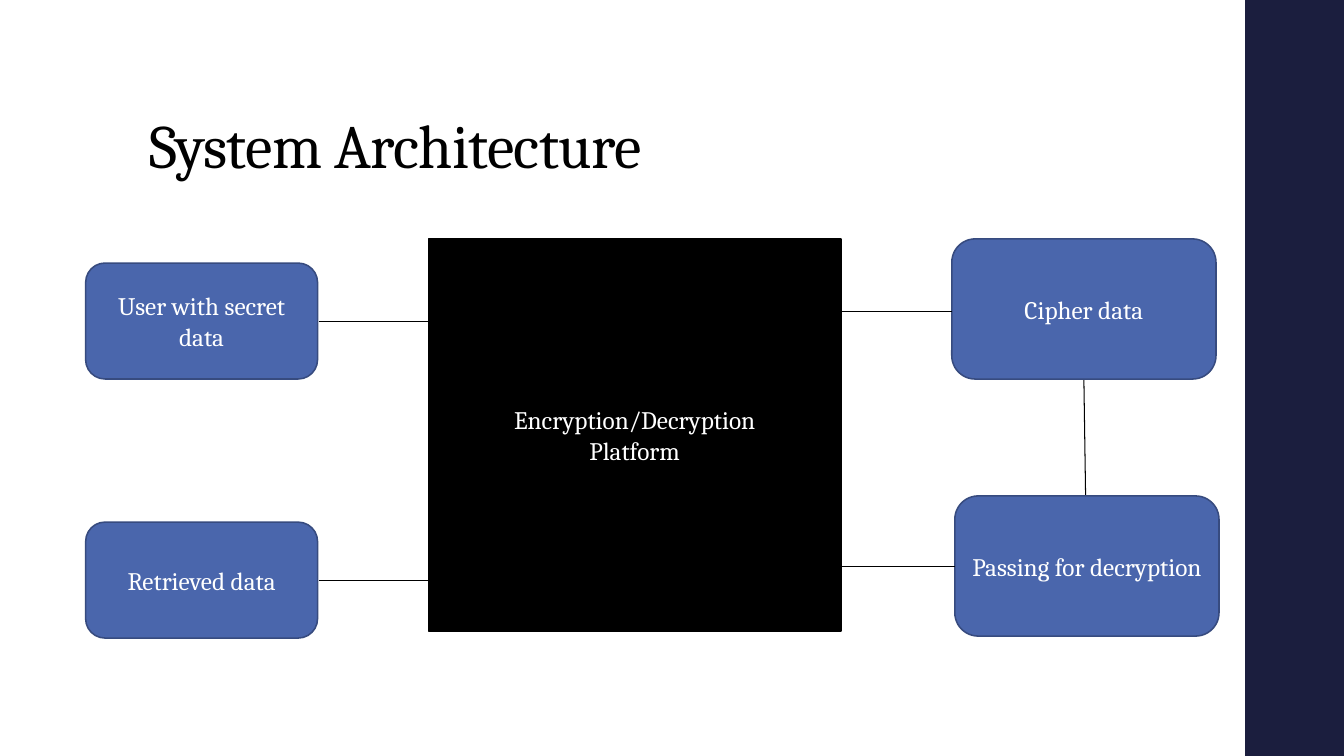
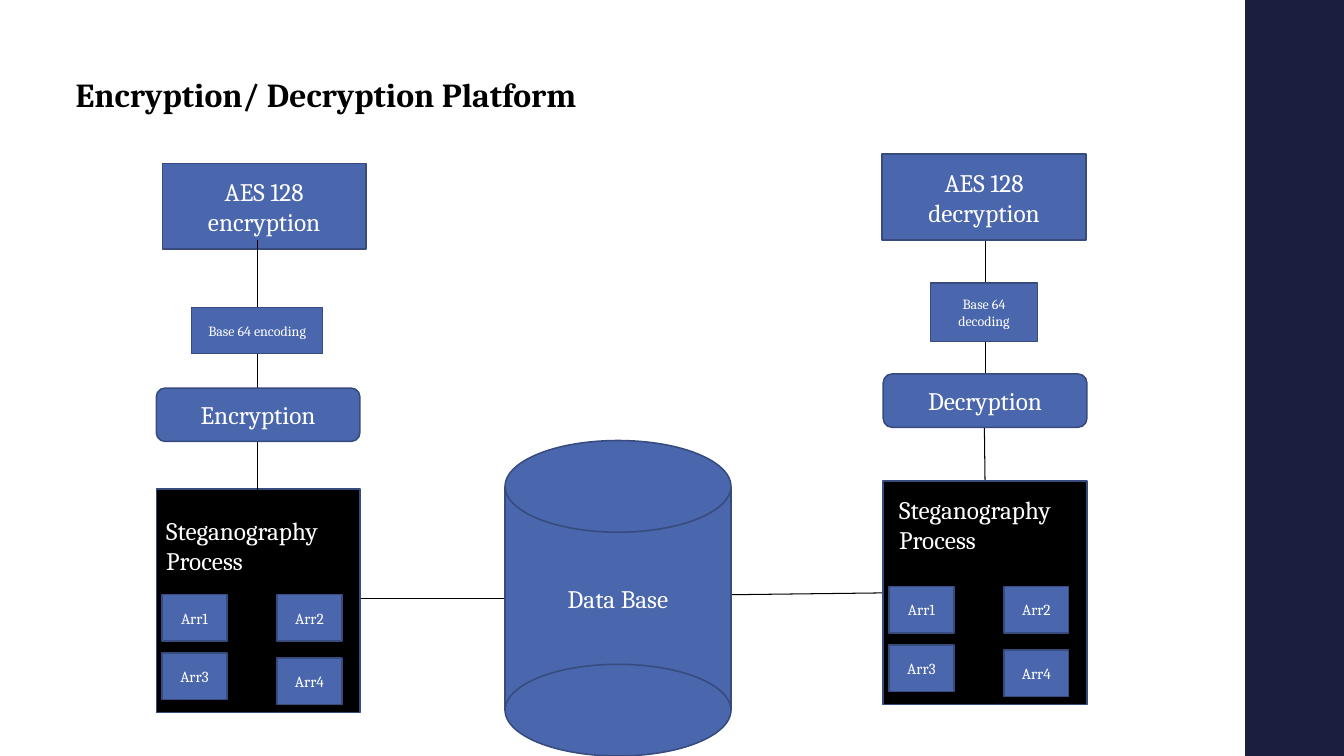
from dataclasses import dataclass

import pptx
import pptx.dml.color
import pptx.enum.shapes
import pptx.enum.text
import pptx.oxml
import pptx.oxml.ns
import pptx.presentation
import pptx.shapes.autoshape
import pptx.slide
import pptx.util

Inches = pptx.util.Inches
RGB = pptx.dml.color.RGBColor
SHAPE = pptx.enum.shapes.MSO_SHAPE
ANCHOR = pptx.enum.text.MSO_ANCHOR
ALIGN = pptx.enum.text.PP_ALIGN


@dataclass(frozen=True)
class Theme:
    font: str = "Cambria"
    ink: RGB = RGB(0x00, 0x00, 0x00)
    paper: RGB = RGB(0xFF, 0xFF, 0xFF)
    band: RGB = RGB(0x1B, 0x1E, 0x3E)
    blue: RGB = RGB(0x4A, 0x66, 0xAC)
    edge: RGB = RGB(0x37, 0x4B, 0x7F)
    title: float = 44
    heading: float = 24
    body: float = 18
    small: float = 11
    tiny: float = 10
    box_line: float = 1.1
    link_line: float = 0.75


THEME = Theme()


@dataclass(frozen=True)
class Box:
    """A filled shape; each line of its text is a paragraph."""
    x: float
    y: float
    w: float
    h: float
    text: str = ""
    size: float = THEME.body
    kind: SHAPE = SHAPE.RECTANGLE
    fill: RGB = THEME.blue
    line: RGB = THEME.edge


@dataclass(frozen=True)
class Link:
    """An arrow from (x1, y1) to (x2, y2)."""
    x1: float
    y1: float
    x2: float
    y2: float


@dataclass(frozen=True)
class Panel:
    """A steganography panel with its caption offset."""
    x: float
    y: float
    dx: float
    dy: float
    caption: str = "Steganography\nProcess"


# Drawing functions
def write(tf: pptx.text.text.TextFrame, text: str, size: float, color: RGB,
          align: ALIGN = ALIGN.LEFT, bold: bool = False) -> None:
    tf.word_wrap = True
    for i, words in enumerate(text.split("\n")):
        p = tf.add_paragraph() if i else tf.paragraphs[0]
        p.alignment = align
        r = p.add_run()
        r.text = words
        r.font.name = THEME.font
        r.font.size = pptx.util.Pt(size)
        r.font.bold = bold
        r.font.color.rgb = color


def draw_box(s: pptx.slide.Slide, box: Box) -> pptx.shapes.autoshape.Shape:
    sp = s.shapes.add_shape(box.kind, Inches(box.x), Inches(box.y),
                            Inches(box.w), Inches(box.h))
    sp.shadow.inherit = False
    sp.fill.solid()
    sp.fill.fore_color.rgb = box.fill
    sp.line.color.rgb = box.line
    sp.line.width = pptx.util.Pt(THEME.box_line)
    if box.text:
        sp.text_frame.vertical_anchor = ANCHOR.MIDDLE
        write(sp.text_frame, box.text, box.size, THEME.paper, ALIGN.CENTER)
    return sp


def draw_link(s: pptx.slide.Slide, link: Link) -> None:
    line = s.shapes.add_connector(
        pptx.enum.shapes.MSO_CONNECTOR.STRAIGHT, Inches(link.x1),
        Inches(link.y1), Inches(link.x2), Inches(link.y2))
    line.line.color.rgb = THEME.ink
    line.line.width = pptx.util.Pt(THEME.link_line)
    tail = pptx.oxml.parse_xml(
        f'<a:tailEnd {pptx.oxml.ns.nsdecls("a")} type="triangle"/>')
    line.line._get_or_add_ln().append(tail)
    line.element.spPr.append(pptx.oxml.parse_xml(
        f'<a:effectLst {pptx.oxml.ns.nsdecls("a")}/>'))


def draw_panel(s: pptx.slide.Slide, panel: Panel) -> None:
    draw_box(s, Box(panel.x, panel.y, 2.02, 2.22, fill=THEME.ink))
    cells = ((0.06, 1.05), (1.2, 1.05), (0.06, 1.63), (1.2, 1.68))
    for n, (dx, dy) in enumerate(cells, start=1):
        draw_box(s, Box(panel.x + dx, panel.y + dy, 0.64, 0.46,
                        f"Arr{n}", THEME.small))
    caption = s.shapes.add_textbox(
        Inches(panel.x + panel.dx), Inches(panel.y + panel.dy),
        Inches(2.02), Inches(0.71))
    write(caption.text_frame, panel.caption, THEME.body, THEME.paper)


def draw_all(s: pptx.slide.Slide, items: list[Box | Link | Panel]) -> None:
    draw = {Box: draw_box, Link: draw_link, Panel: draw_panel}
    for item in items:
        draw[type(item)](s, item)


def add_slide(prs: pptx.presentation.Presentation, title: str, size: float,
              x: float, y: float, w: float, h: float,
              anchor: ANCHOR, bold: bool = False) -> pptx.slide.Slide:
    s = prs.slides.add_slide(prs.slide_layouts.get_by_name("Title Only"))
    sp = s.shapes.title
    sp.left, sp.top = Inches(x), Inches(y)
    sp.width, sp.height = Inches(w), Inches(h)
    tf = sp.text_frame
    tf.auto_size = pptx.enum.text.MSO_AUTO_SIZE.NONE
    tf.vertical_anchor = anchor
    write(tf, title, size, THEME.ink, bold=bold)
    return s


def add_master_band(prs: pptx.presentation.Presentation,
                    s: pptx.slide.Slide) -> None:
    band = draw_box(s, Box(12.35, 0, 0.98, 7.5, fill=THEME.band))
    band.line.fill.background()
    prs.slide_master.shapes.element.insert(2, band.element)


prs = pptx.Presentation()
prs.slide_width, prs.slide_height = Inches(13.33), Inches(7.5)

# Slide 1: system architecture
s = add_slide(prs, "System Architecture", THEME.title,
              1.38, 0.4, 10.6, 1.45, ANCHOR.BOTTOM)
p = s.shapes.title.text_frame.paragraphs[0]
p.line_spacing = 0.9
p.runs[0].font._element.set("spc", "-50")
add_master_band(prs, s)

ROUND = SHAPE.ROUNDED_RECTANGLE
draw_all(s, [
    Link(10.75, 3.76, 10.77, 5.09),
    Box(4.25, 2.37, 4.09, 3.89, "Encryption/Decryption\nPlatform",
        fill=THEME.ink, line=THEME.ink),
    Box(0.85, 2.61, 2.3, 1.15, "User with secret data", kind=ROUND),
    Box(9.44, 2.37, 2.62, 1.39, "Cipher data", kind=ROUND),
    Box(0.85, 5.18, 2.3, 1.15, "Retrieved data", kind=ROUND),
    Box(9.47, 4.92, 2.62, 1.39, "Passing for decryption", kind=ROUND),
    Link(3.16, 3.19, 4.46, 3.19),
    Link(9.47, 5.62, 8.22, 5.62),
    Link(3.16, 5.76, 5, 5.76),
    Link(9.44, 3.09, 8.14, 3.09),
])

# Slide 2: encryption and decryption chains around the database
s = add_slide(prs, "Encryption/ Decryption Platform", THEME.heading,
              0.65, 0.68, 5.8, 0.5, ANCHOR.TOP, bold=True)
draw_all(s, [
    # Links that run behind the boxes
    Link(7.25, 5.9, 8.94, 5.88),
    Link(3.57, 5.94, 5.17, 5.94),
    Link(9.77, 4.77, 9.76, 3.95),
    Link(9.77, 3.75, 9.77, 2.13),
    # Ciphers and steganography
    Box(1.61, 1.62, 2.02, 0.85, "AES 128 encryption"),
    Panel(1.55, 4.85, 0, 0.21),
    Box(8.75, 1.53, 2.02, 0.85, "AES 128\ndecryption"),
    Panel(8.76, 4.77, 0.06, 0.08),
    # Database cylinder
    Box(5.01, 4.83, 2.24, 2.22, "Data Base"),
    Box(5.01, 4.37, 2.24, 0.91, kind=SHAPE.OVAL),
    Box(5.01, 6.59, 2.24, 0.91, kind=SHAPE.OVAL),
    # Encryption links, then the steps they pass through
    Link(2.55, 2.38, 2.55, 4.05),
    Link(2.55, 4.26, 2.55, 5.21),
    Box(1.9, 3.05, 1.3, 0.46, "Base 64 encoding", THEME.tiny),
    Box(9.23, 2.81, 1.06, 0.58, "Base 64 decoding", THEME.tiny),
    Box(8.76, 3.71, 2.02, 0.53, "Decryption", kind=ROUND),
    Box(1.55, 3.85, 2.02, 0.53, "Encryption", kind=ROUND),
])

prs.save("out.pptx")
